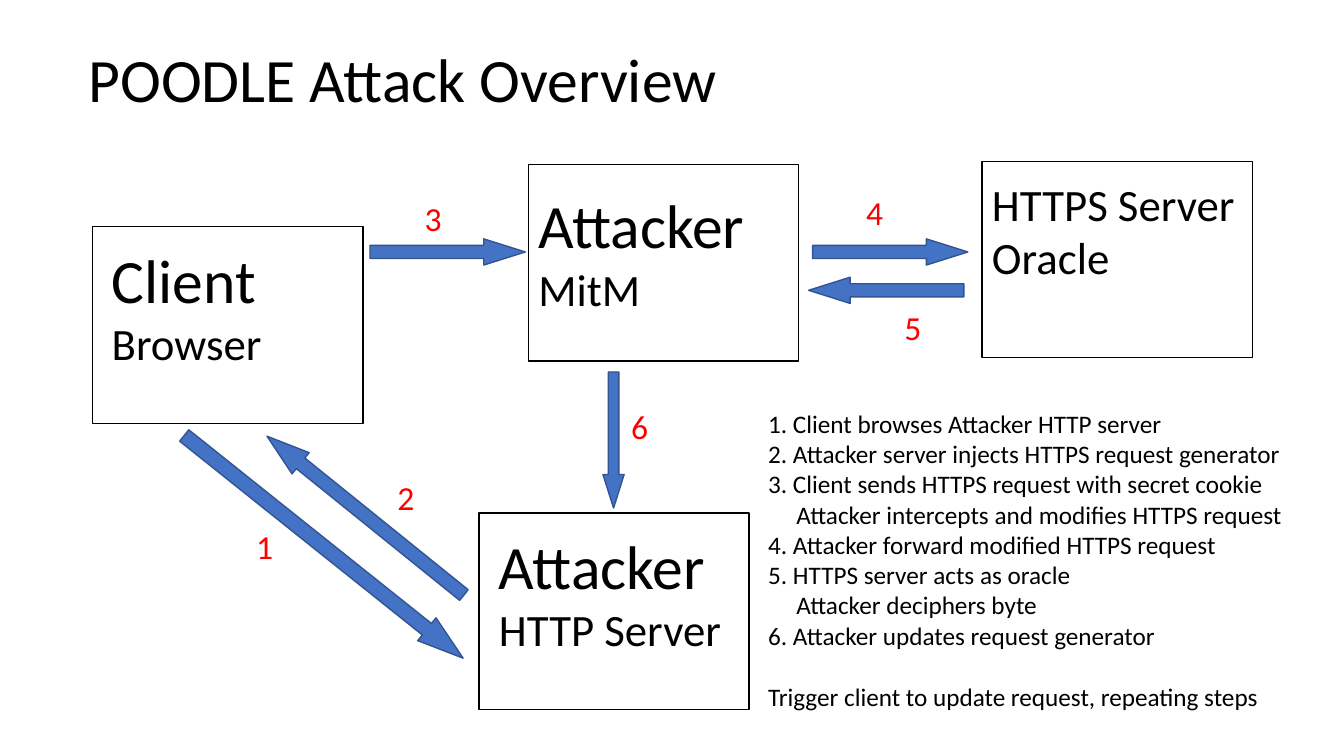
from pptx import Presentation
from pptx import util as u
from pptx.dml.color import RGBColor
from pptx.enum import shapes, text

Inches, Pt = u.Inches, u.Pt
FONT = "Calibri"
COLORS = {"ink": "000000", "step": "FF0000", "arrow": "4472C4", "arrow_edge": "325491"}

HOST_SIZE = (2.68, 1.95)
# left, top, label offset (x, y), label width, lines with sizes
HOSTS = [
    (0.92, 2.25, (0.09, 0.1), 2.4, [("Client", 44), ("Browser", 32)]),
    (5.24, 1.63, (0, 0.18), 2.42, [("Attacker", 44), ("MitM", 32)]),
    (9.74, 1.6, (0, 0.1), 2.68, [("HTTPS Server", 32), ("Oracle", 32)]),
    (4.75, 5.09, (0.1, 0.1), 2.42, [("Attacker", 44), ("HTTP Server", 32)]),
]
# number, its left and top, then the arrow's box and rotation
STEPS = [
    ("1", 2.44, 5.17, (1.44, 5.28, 3.54, 0.29), 38.6),
    ("2", 3.84, 4.68, (2.37, 4.98, 2.51, 0.27), 218.9),
    ("3", 4.11, 1.91, (3.67, 2.37, 1.54, 0.26), 0),
    ("4", 8.49, 1.85, (8.06, 2.37, 1.54, 0.26), 0),
    ("5", 8.87, 3.0, (8.02, 2.75, 1.54, 0.26), 180),
    ("6", 6.16, 3.98, (5.41, 4.26, 1.35, 0.21), 90),
]
# text, indent in inches, space before in points
EXPLANATION = [
    ("1. Client browses Attacker HTTP server", 0, 0),
    ("2. Attacker server injects HTTPS request generator", 0, 0),
    ("3. Client sends HTTPS request with secret cookie", 0, 0),
    ("Attacker intercepts and modifies HTTPS request", 0.28, 0),
    ("4. Attacker forward modified HTTPS request", 0, 0),
    ("5. HTTPS server acts as oracle", 0, 0),
    ("Attacker deciphers byte", 0.28, 0),
    ("6. Attacker updates request generator", 0, 0),
    ("Trigger client to update request, repeating steps", 0, 22),
]


def rgb(name):
    return RGBColor.from_string(COLORS[name])


def add_lines(slide, box, lines, color="ink", wrap=True):
    """Place a text box holding (wording, size) lines and return its frame."""
    frame = slide.shapes.add_textbox(*map(Inches, box)).text_frame
    frame.word_wrap = wrap
    frame.text = "\n".join(wording for wording, _ in lines)
    for paragraph, (_, size) in zip(frame.paragraphs, lines):
        font = paragraph.runs[0].font
        font.name, font.size = FONT, Pt(size)
        font.color.rgb = rgb(color)
    return frame


def add_outlined(slide, kind, box, edge):
    shape = slide.shapes.add_shape(kind, *map(Inches, box))
    shape.shadow.inherit = False
    shape.line.color.rgb = rgb(edge)
    shape.line.width = Pt(1)
    return shape


def add_title(slide, box):
    frame = add_lines(slide, box, [("POODLE Attack Overview", 44)])
    frame.vertical_anchor = text.MSO_ANCHOR.MIDDLE
    frame.paragraphs[0].line_spacing = 0.9


def add_host(slide, left, top, offset, label_width, lines):
    host = add_outlined(slide, shapes.MSO_SHAPE.RECTANGLE, (left, top, *HOST_SIZE), "ink")
    host.fill.background()
    dx, dy = offset
    add_lines(slide, (left + dx, top + dy, label_width, 1.38), lines)


def add_step(slide, number, left, top, arrow_box, rotation):
    arrow = add_outlined(slide, shapes.MSO_SHAPE.RIGHT_ARROW, arrow_box, "arrow_edge")
    arrow.fill.solid()
    arrow.fill.fore_color.rgb = rgb("arrow")
    arrow.adjustments[0] = 0.5
    arrow.adjustments[1] = 1.586
    arrow.rotation = rotation
    label = add_lines(slide, (left, top, 0.37, 0.5), [(number, 24)], "step", wrap=False)
    label.paragraphs[0].alignment = text.PP_ALIGN.CENTER


def add_explanation(slide, box):
    frame = add_lines(slide, box, [(wording, 18) for wording, _, _ in EXPLANATION])
    for paragraph, (_, indent, gap) in zip(frame.paragraphs, EXPLANATION):
        paragraph.space_before = Pt(gap)
        paragraph._p.get_or_add_pPr().set("marL", str(Inches(indent)))


def main():
    deck = Presentation()
    deck.slide_width, deck.slide_height = Inches(13.33), Inches(7.5)
    slide = deck.slides.add_slide(deck.slide_layouts[6])

    add_title(slide, (0.78, 0.09, 11.5, 1.45))
    # Machines taking part
    for host in HOSTS:
        add_host(slide, *host)
    # Numbered messages between them
    for step in STEPS:
        add_step(slide, *step)
    # What each number means
    add_explanation(slide, (7.52, 4, 5.69, 3.13))

    deck.save("out.pptx")


if __name__ == "__main__":
    main()
